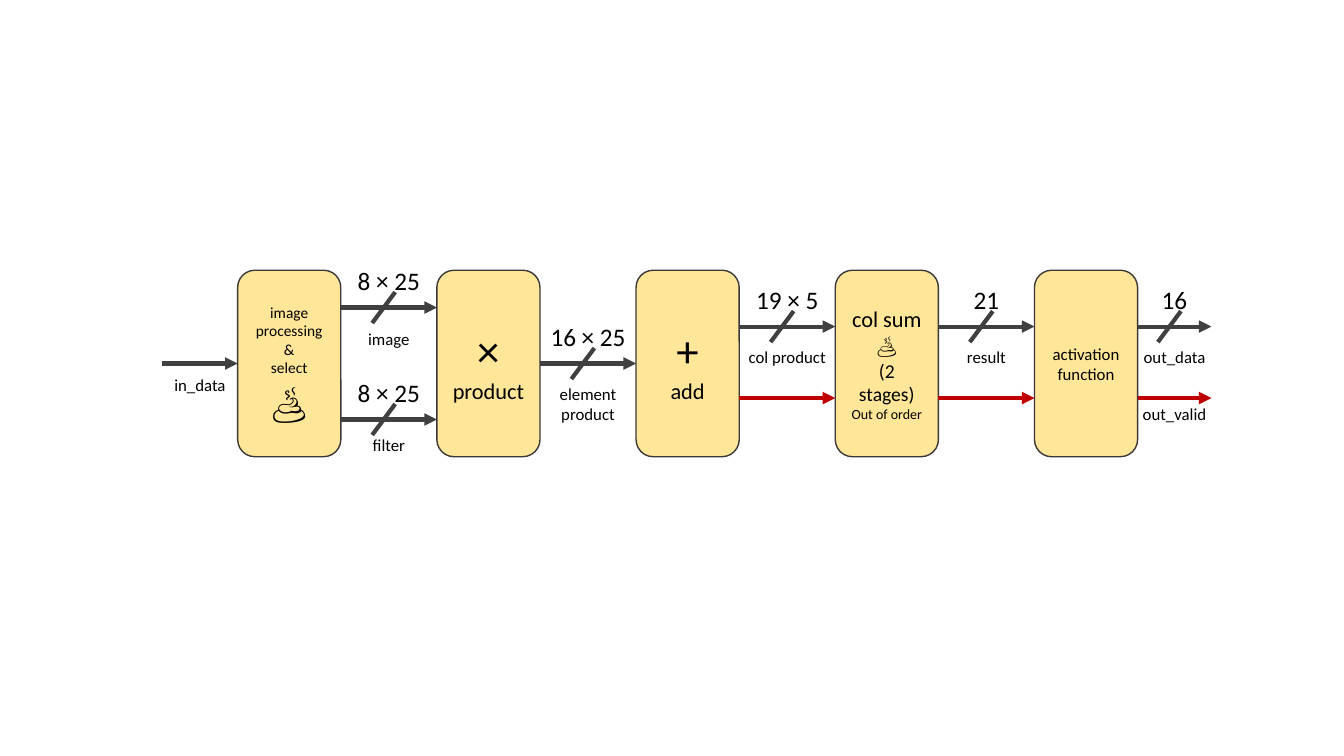
from lxml import etree
from pptx import Presentation
from pptx.dml.color import RGBColor
from pptx.enum.shapes import MSO_CONNECTOR, MSO_SHAPE
from pptx.enum.text import MSO_ANCHOR, MSO_AUTO_SIZE, PP_ALIGN
from pptx.oxml.ns import qn
from pptx.util import Cm, Pt

STRAIGHT = MSO_CONNECTOR.STRAIGHT
ROUNDED = MSO_SHAPE.ROUNDED_RECTANGLE
MIDDLE = MSO_ANCHOR.MIDDLE
GROW = MSO_AUTO_SIZE.SHAPE_TO_FIT_TEXT
CENTER = PP_ALIGN.CENTER
LEFT_SIDE, RIGHT_SIDE = 1, 3

FONT = "Calibri"
COLORS = {
    "stage": "FFE699",
    "outline": "3B3838",
    "data": "404040",
    "valid": "C00000",
    "text": "000000",
}

STAGES = [
    [("image processing", 11), ("&", 11), ("select", 11), ("💩", 28)],
    [("×", 32), ("product", 16)],
    [("+", 32), ("add", 16)],
    [("col sum", 16), ("💩", 16), ("(2 stages)", 14), ("Out of order", 10)],
    [("activation function", 12)],
]

STAGE_LEFT, STAGE_TOP = 5.99, 6.81
STAGE_W, STAGE_H, PITCH = 2.6, 4.7, 5.02
MID_Y = STAGE_TOP + STAGE_H / 2
FLOW_START, FLOW_END = 4.09, 30.53
UPPER_Y, LOWER_Y, DATA_Y, VALID_Y = 7.75, 10.57, 8.23, 10.03

# gap, y, colour, (bits, width), (name, width, height, distance below)
SIGNALS = [
    (0, MID_Y, "data", None, ("in_data", 1.8, 0.76, 0.15)),
    (1, UPPER_Y, "data", ("8 × 25", 2.11), ("image", 1.57, 0.76, 0.4)),
    (1, LOWER_Y, "data", ("8 × 25", 2.11), ("filter", 1.35, 0.76, 0.25)),
    (2, MID_Y, "data", ("16 × 25", 2.43), ("element product", 2.64, 1.27, 0.38)),
    (3, DATA_Y, "data", ("19 × 5", 2.11), ("col product", 2.64, 0.76, 0.38)),
    (3, VALID_Y, "valid", None, None),
    (4, DATA_Y, "data", ("21", 1.17), ("result", 2.64, 0.76, 0.38)),
    (4, VALID_Y, "valid", None, None),
    (5, DATA_Y, "data", ("16", 1.17), ("out_data", 2.64, 0.76, 0.38)),
    (5, VALID_Y, "valid", None, ("out_valid", 2.64, 0.76, 0.03)),
]
BITS_RISE, BITS_H = 1.18, 1.02
SLASH_SHIFT, SLASH_DX, SLASH_DY = 0.13, 0.29, 0.39


def rgb(name):
    return RGBColor.from_string(COLORS[name])


def write(tf, lines):
    for i, (text, size) in enumerate(lines):
        p = tf.add_paragraph() if i else tf.paragraphs[0]
        p.text = text
        p.alignment = CENTER
        p.font.name = FONT
        p.font.size = Pt(size)
        p.font.color.rgb = rgb("text")


def add_stage(s, i, lines):
    sp = s.shapes.add_shape(ROUNDED, Cm(STAGE_LEFT + i * PITCH), Cm(STAGE_TOP),
                            Cm(STAGE_W), Cm(STAGE_H))
    sp.shadow.inherit = False
    sp.fill.solid()
    sp.fill.fore_color.rgb = rgb("stage")
    sp.line.color.rgb = rgb("outline")
    sp.line.width = Pt(1)
    sp.text_frame.word_wrap = True
    sp.text_frame.vertical_anchor = MIDDLE
    write(sp.text_frame, lines)
    return sp


def add_label(s, center, top, width, height, text, size, wrap):
    sp = s.shapes.add_textbox(Cm(center - width / 2), Cm(top), Cm(width), Cm(height))
    tf = sp.text_frame
    tf.word_wrap = wrap
    tf.auto_size = GROW
    write(tf, [(text, size)])


def add_line(s, x1, y1, x2, y2, color, arrow=False):
    line = s.shapes.add_connector(STRAIGHT, Cm(x1), Cm(y1), Cm(x2), Cm(y2))
    line.line.color.rgb = rgb(color)
    line.line.width = Pt(3)
    if arrow:
        etree.SubElement(line.line._get_or_add_ln(), qn("a:tailEnd"), type="triangle")
    etree.SubElement(line._element.spPr, qn("a:effectLst"))
    return line


def add_signal(s, stages, gap, y, color, bits, name):
    x1 = STAGE_LEFT + (gap - 1) * PITCH + STAGE_W if gap else FLOW_START
    x2 = STAGE_LEFT + gap * PITCH if gap < len(stages) else FLOW_END
    mid = (x1 + x2) / 2
    arrow = add_line(s, x1, y, x2, y, color, arrow=True)
    if y == MID_Y:
        if gap:
            arrow.begin_connect(stages[gap - 1], RIGHT_SIDE)
        if gap < len(stages):
            arrow.end_connect(stages[gap], LEFT_SIDE)
    if bits:
        text, width = bits
        slash = mid - SLASH_SHIFT
        add_line(s, slash + SLASH_DX, y - SLASH_DY, slash - SLASH_DX, y + SLASH_DY, color)
        add_label(s, mid, y - BITS_RISE, width, BITS_H, text, 18, False)
    if name:
        text, width, height, below = name
        add_label(s, mid, y + below, width, height, text, 12, gap > 0)


def main():
    prs = Presentation()
    prs.slide_width, prs.slide_height = Cm(33.87), Cm(19.05)
    s = prs.slides.add_slide(prs.slide_layouts[6])
    stages = [add_stage(s, i, lines) for i, lines in enumerate(STAGES)]
    for signal in SIGNALS:
        add_signal(s, stages, *signal)
    prs.save("out.pptx")


if __name__ == "__main__":
    main()
